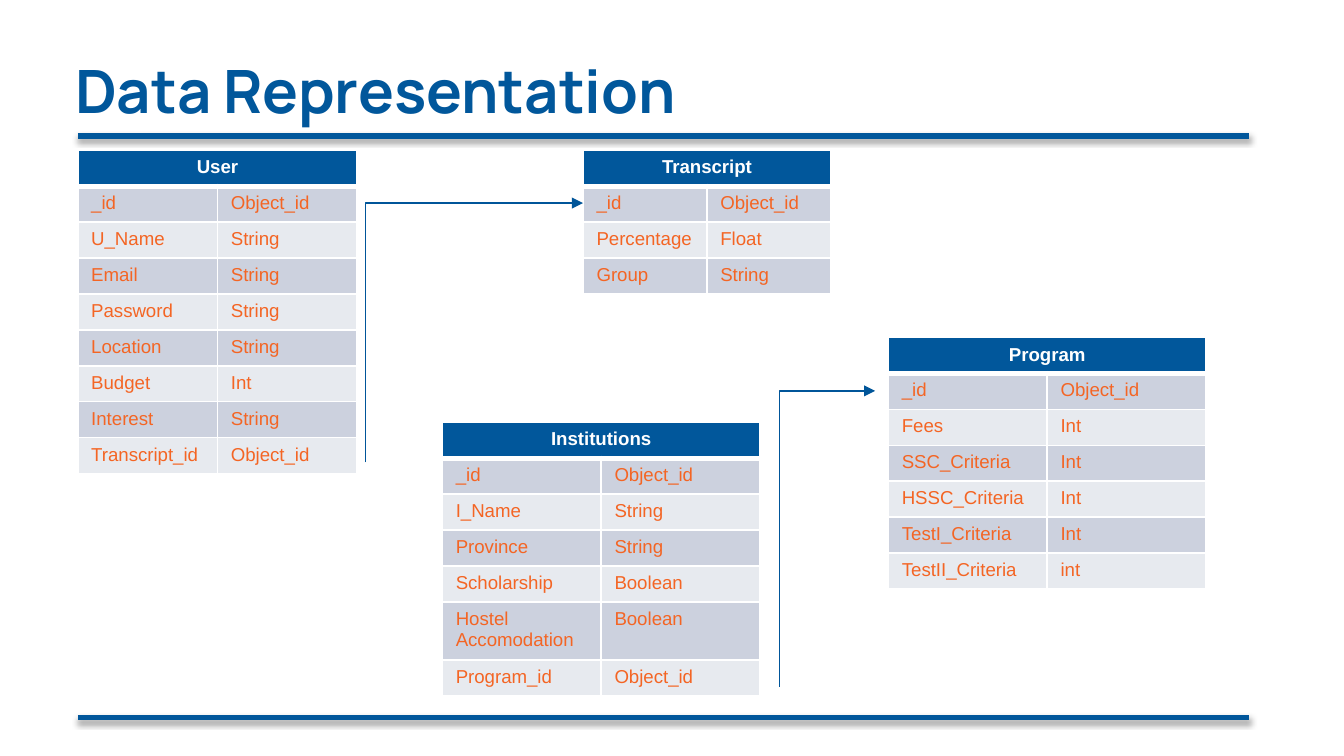
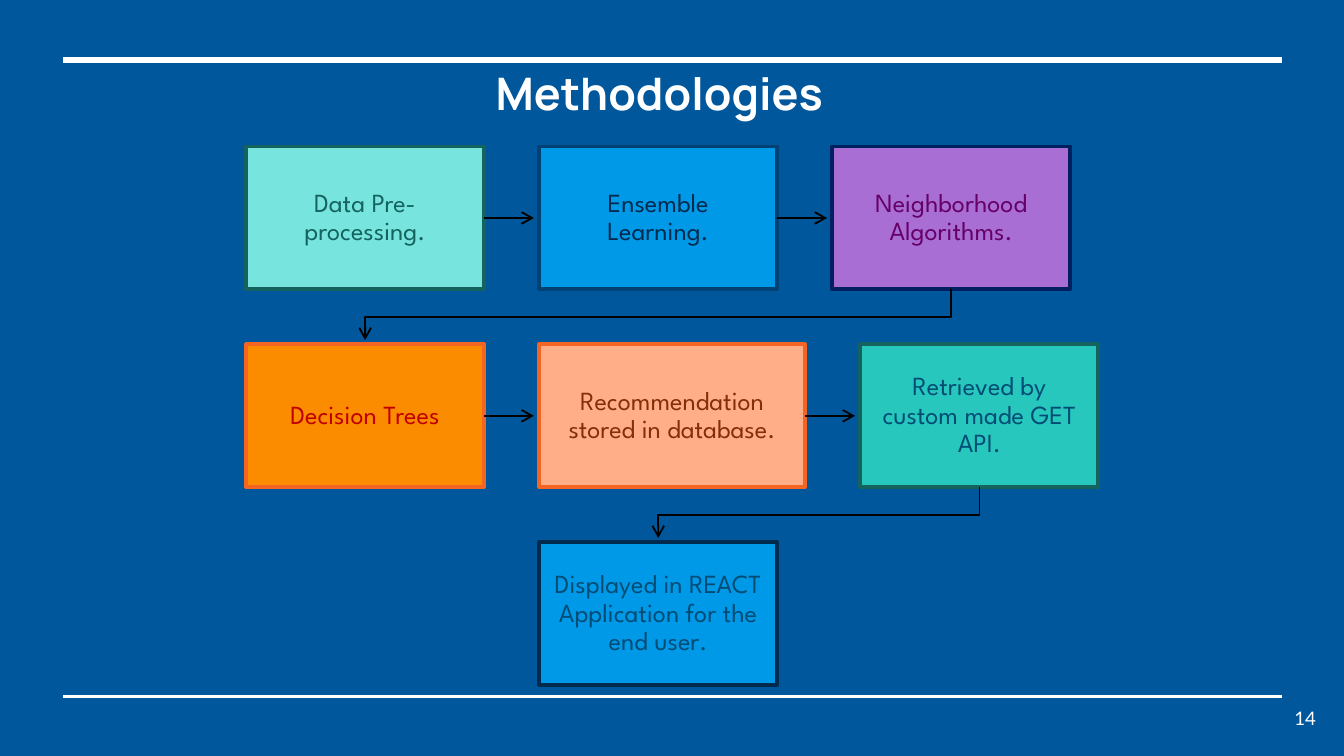
from lxml.etree import SubElement
from pptx import Presentation
from pptx.dml.color import RGBColor
from pptx.enum.shapes import MSO_CONNECTOR as CONNECTOR, MSO_SHAPE as SHAPE
from pptx.enum.text import MSO_ANCHOR as ANCHOR, PP_ALIGN as ALIGN
from pptx.oxml.ns import qn
from pptx.util import Cm, Pt

rgb = RGBColor.from_string
BLUE, WHITE, BLACK, ORANGE = "01579B", "FFFFFF", "000000", "F46524"
LINK_BLUE = "005599"
BAND_FILLS = ["E7EAEF", "CCD1DE"]


def write(frame, text, font, size, color, bold=False, align=ALIGN.LEFT):
    paragraph = frame.paragraphs[0]
    paragraph.alignment = align
    run = paragraph.add_run()
    run.text = text
    run.font.name, run.font.size, run.font.bold = font, Pt(size), bold
    run.font.color.rgb = rgb(color)
    return paragraph


def draw_line(slide, begin, end, color, width, head=None, bend=None):
    """Straight line, or with bend an elbow that leaves vertically."""
    (x1, y1), (x2, y2) = begin, end
    kind = CONNECTOR.STRAIGHT
    if bend is not None:
        # Ends of the elbow before its quarter turn around the centre
        kind = CONNECTOR.ELBOW
        middle_x, middle_y = (x1 + x2) / 2, (y1 + y2) / 2
        x1, y1 = middle_x + y1 - middle_y, middle_y - x1 + middle_x
        x2, y2 = 2 * middle_x - x1, 2 * middle_y - y1
    connector = slide.shapes.add_connector(kind, Cm(x1), Cm(y1), Cm(x2), Cm(y2))
    connector.line.color.rgb = rgb(color)
    connector.line.width = Pt(width)
    properties = connector._element.spPr
    if bend is not None:
        properties.xfrm.set("rot", "5400000")
        guides = properties.find(qn("a:prstGeom")).get_or_add_avLst()
        SubElement(guides, qn("a:gd"), name="adj1", fmla=f"val {round(bend * 100000)}")
    if head:
        SubElement(connector.line._get_or_add_ln(), qn("a:tailEnd"), type=head)
    SubElement(properties, qn("a:effectLst"))
    return connector


presentation = Presentation()
presentation.slide_width, presentation.slide_height = Cm(25.4), Cm(14.29)
blank = presentation.slide_layouts[6]
data_slide = presentation.slides.add_slide(blank)
method_slide = presentation.slides.add_slide(blank)

# Backgrounds
for slide, color in [(data_slide, WHITE), (method_slide, BLUE)]:
    slide.background.fill.solid()
    slide.background.fill.fore_color.rgb = rgb(color)

# Titles and slide number
for slide, text, place, font, size, color, bold, align in [
    (data_slide, "Data Representation", (1.17, 0.81, 23.04, 1.75),
     "Manrope", 32, BLUE, True, ALIGN.LEFT),
    (method_slide, "Methodologies", (0.94, 1.32, 23.04, 0.86),
     "Manrope", 24, WHITE, True, ALIGN.CENTER),
    (method_slide, "14", (23.6, 13.03, 1.52, 1.09),
     "Lato", 10, WHITE, False, ALIGN.RIGHT),
]:
    frame = slide.shapes.add_textbox(*map(Cm, place)).text_frame
    frame.word_wrap = True
    frame.vertical_anchor = ANCHOR.MIDDLE
    frame.margin_left = frame.margin_right = Cm(0.25)
    frame.margin_top = frame.margin_bottom = Cm(0.25)
    write(frame, text, font, size, color, bold, align)

# Rules above and below the content
for y in (2.57, 13.56):
    rule = draw_line(data_slide, (1.47, y), (23.6, y), BLUE, 3)
    effects = rule._element.spPr.find(qn("a:effectLst"))
    shadow = SubElement(effects, qn("a:outerShdw"), blurRad="40000", dist="23000",
                        dir="5400000", rotWithShape="0")
    shade = SubElement(shadow, qn("a:srgbClr"), val=BLACK)
    SubElement(shade, qn("a:alpha"), val="35000")
for y, width in [(1.14, 3), (13.16, 1.5)]:
    draw_line(method_slide, (1.19, y), (24.23, y), WHITE, width)

# Collections: name, left, top, column width, fields
collections = [
    ("User", 1.47, 2.84, 2.64, [
        ("_id", "Object_id"), ("U_Name", "String"), ("Email", "String"),
        ("Password", "String"), ("Location", "String"), ("Budget", "Int"),
        ("Interest", "String"), ("Transcript_id", "Object_id")]),
    ("Transcript", 11.02, 2.84, 2.34, [
        ("_id", "Object_id"), ("Percentage", "Float"), ("Group", "String")]),
    ("Institutions", 8.36, 7.98, 3, [
        ("_id", "Object_id"), ("I_Name", "String"), ("Province", "String"),
        ("Scholarship", "Boolean"), ("Hostel Accomodation", "Boolean"),
        ("Program_id", "Object_id")]),
    ("Program", 16.79, 6.38, 3, [
        ("_id", "Object_id"), ("Fees", "Int"), ("SSC_Criteria", "Int"),
        ("HSSC_Criteria", "Int"), ("TestI_Criteria", "Int"), ("TestII_Criteria", "int")]),
]
ROW_HEIGHT = 0.65
for name, left, top, column_width, fields in collections:
    rows = [(name, "")] + fields
    table = data_slide.shapes.add_table(
        len(rows), 2, Cm(left), Cm(top),
        Cm(2 * column_width), Cm(ROW_HEIGHT * len(rows))).table
    for column in table.columns:
        column.width = Cm(column_width)
    table.cell(0, 0).merge(table.cell(0, 1))
    for row, texts in enumerate(rows):
        table.rows[row].height = Cm(ROW_HEIGHT)
        for column, text in enumerate(texts):
            cell = table.cell(row, column)
            # White borders, thick below the header
            for side in ("lnL", "lnR", "lnT", "lnB"):
                thick = (row, side) in [(0, "lnB"), (1, "lnT")]
                border = SubElement(cell._tc.get_or_add_tcPr(), qn(f"a:{side}"),
                                    w=str(Pt(3 if thick else 1)))
                paint = SubElement(border, qn("a:solidFill"))
                SubElement(paint, qn("a:srgbClr"), val=WHITE)
            cell.fill.solid()
            cell.fill.fore_color.rgb = rgb(BAND_FILLS[row % 2] if row else BLUE)
            if row:
                write(cell.text_frame, text, "Arial", 10, ORANGE)
            elif text:
                write(cell.text_frame, text, "Arial", 10, WHITE, True, ALIGN.CENTER)

# References between collections
draw_line(data_slide, (6.91, 8.74), (11.02, 3.84), LINK_BLUE, 0.75, "triangle", 1)
draw_line(data_slide, (14.73, 12.98), (16.54, 7.39), LINK_BLUE, 0.75, "triangle", 1)

# Steps, row by row: text, width, fill, outline, text colour
BOX_WIDTH, BOX_HEIGHT, WIDE_BOX = 4.5, 2.7, 5.03
GAP, ROW_PITCH, ARROW_LENGTH = 1.04, 3.74, 0.94
FIRST_LEFT, FIRST_TOP = 4.65, 2.77
step_rows = [
    (FIRST_LEFT, [
        ("Data Pre-processing.", BOX_WIDTH, "77E4DD", "14635E", "14635E"),
        ("Ensemble Learning.", BOX_WIDTH, "0099E8", "014174", "002B4E"),
        ("Neighborhood Algorithms.", BOX_WIDTH, "A86ED4", "002060", "660066")]),
    (FIRST_LEFT, [
        ("Decision Trees", BOX_WIDTH, "FB8C00", ORANGE, "C00000"),
        ("Recommendation stored in database.", WIDE_BOX, "FFAE88", ORANGE, "852E07"),
        ("Retrieved by custom made GET API.", BOX_WIDTH, "27C7BD", "14635E", "004C74")]),
    (FIRST_LEFT + BOX_WIDTH + GAP, [
        ("Displayed in REACT Application for the end user.", BOX_WIDTH,
         "0099E8", "002B4E", "004C74")]),
]
turn = None
for row, (left, steps) in enumerate(step_rows):
    top = FIRST_TOP + row * ROW_PITCH
    middle = top + BOX_HEIGHT / 2
    # Elbow from the last step of the row above
    if turn:
        draw_line(method_slide, turn, (left + BOX_WIDTH / 2, top - 0.08),
                  BLACK, 1, "arrow", 0.55)
    for position, (text, width, fill, outline, color) in enumerate(steps):
        box = method_slide.shapes.add_shape(
            SHAPE.RECTANGLE, Cm(left), Cm(top), Cm(width), Cm(BOX_HEIGHT))
        box.shadow.inherit = False
        box.fill.solid()
        box.fill.fore_color.rgb = rgb(fill)
        box.line.color.rgb = rgb(outline)
        box.line.width = Pt(2)
        frame = box.text_frame
        frame.word_wrap = True
        frame.vertical_anchor = ANCHOR.MIDDLE
        frame.margin_left = frame.margin_right = Cm(0.28)
        frame.margin_top = frame.margin_bottom = Cm(0.28)
        paragraph = write(frame, text, "League Spartan", 14, color, align=ALIGN.CENTER)
        paragraph.line_spacing = 0.9
        right = left + width
        if position < len(steps) - 1:
            arrow = draw_line(method_slide, (right, middle),
                              (right + ARROW_LENGTH, middle), BLACK, 1, "arrow")
            arrow.begin_connect(box, 3)
        turn = (left + width / 2, top + BOX_HEIGHT)
        left = right + GAP

presentation.save("out.pptx")
